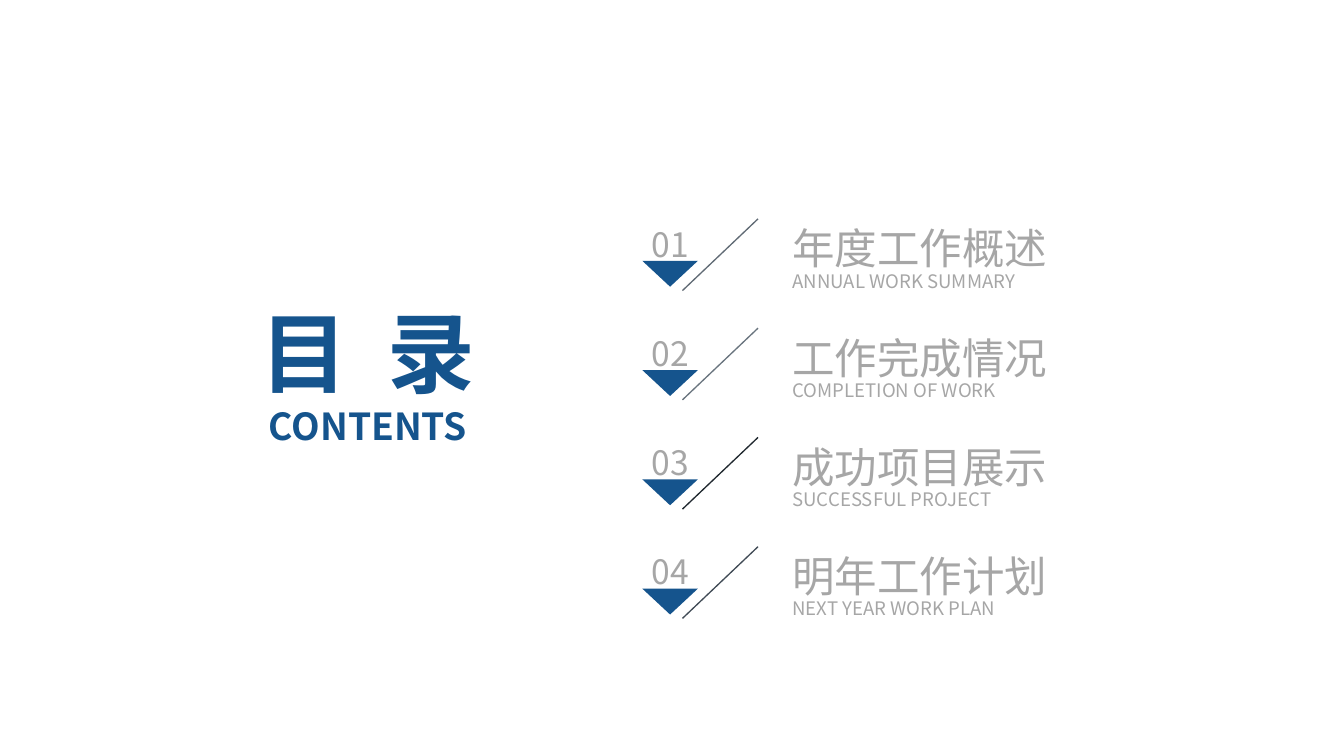
from pptx import Presentation
from pptx.dml.color import RGBColor
from pptx.enum.shapes import MSO_CONNECTOR, MSO_SHAPE
from pptx.enum.text import MSO_ANCHOR, MSO_AUTO_SIZE, PP_ALIGN
from pptx.oxml.ns import qn
from pptx.util import Inches, Pt
from lxml import etree

STRAIGHT = MSO_CONNECTOR.STRAIGHT
INVERTED_TRIANGLE = MSO_SHAPE.FLOWCHART_MERGE
TOP, MIDDLE, BOTTOM = MSO_ANCHOR.TOP, MSO_ANCHOR.MIDDLE, MSO_ANCHOR.BOTTOM
NO_AUTOFIT = MSO_AUTO_SIZE.NONE
LEFT, CENTER = PP_ALIGN.LEFT, PP_ALIGN.CENTER

BLUE = RGBColor(0x15, 0x54, 0x8D)
GRAY = RGBColor(0xA6, 0xA6, 0xA6)
FONT = "Noto Sans CJK SC"
LINE_SPACING = 0.83
TITLE_ONLY = 5

ENTRIES = [
    ("年度工作概述", "ANNUAL WORK SUMMARY", RGBColor(0x60, 0x6A, 0x74)),
    ("工作完成情况", "COMPLETION OF WORK", RGBColor(0x69, 0x74, 0x7E)),
    ("成功项目展示", "SUCCESSFUL PROJECT", RGBColor(0x20, 0x28, 0x2F)),
    ("明年工作计划", "NEXT YEAR WORK PLAN", RGBColor(0x41, 0x4B, 0x56)),
]


def write_text(shape, lines, color, anchor, alignment=LEFT, bold=False):
    """Fill a shape with (text, size) lines in one common format."""
    frame = shape.text_frame
    frame_format = {
        "word_wrap": True, "auto_size": NO_AUTOFIT, "vertical_anchor": anchor,
        "margin_left": 0, "margin_right": 0, "margin_top": 0, "margin_bottom": 0,
    }
    for name, value in frame_format.items():
        setattr(frame, name, value)
    frame.text = "\n".join(text for text, size in lines)
    paragraph_format = {
        "alignment": alignment, "line_spacing": LINE_SPACING,
        "space_before": Pt(0), "space_after": Pt(0),
    }
    for paragraph, (text, size) in zip(frame.paragraphs, lines):
        for name, value in paragraph_format.items():
            setattr(paragraph, name, value)
        run = paragraph.runs[0]
        for name, value in {"name": FONT, "size": Pt(size), "bold": bold}.items():
            setattr(run.font, name, value)
        run.font.color.rgb = color
        east_asian = etree.SubElement(run.font._element, qn("a:ea"))
        east_asian.set("typeface", FONT)


def add_heading(slide, left, top, width):
    """Place the slide title with its English subtitle below."""
    title = slide.shapes.title
    box = {"left": left, "top": top, "width": width, "height": Inches(1.11)}
    for name, value in box.items():
        setattr(title, name, value)
    write_text(title, [("目  录", 66)], BLUE, MIDDLE, CENTER, True)
    subtitle = slide.shapes.add_textbox(left, top + Inches(1.08), width, Inches(0.47))
    write_text(subtitle, [("CONTENTS", 28)], BLUE, TOP, CENTER, True)


def add_marker(slide, left, top, number, line_color):
    """Group a number, its blue triangle and the slanted line."""
    shapes = slide.shapes.add_group_shape().shapes
    slash = shapes.add_connector(
        STRAIGHT, left + Inches(1.23), top, left + Inches(0.44), top + Inches(0.75))
    slash.line.color.rgb = line_color
    slash.line.width = Pt(1)
    etree.SubElement(slash._element.spPr, qn("a:effectLst"))

    triangle = shapes.add_shape(
        INVERTED_TRIANGLE, left + Inches(0.02), top + Inches(0.44),
        Inches(0.58), Inches(0.27))
    triangle.shadow.inherit = False
    triangle.fill.solid()
    triangle.fill.fore_color.rgb = BLUE
    triangle.line.fill.background()

    label = shapes.add_textbox(left, top + Inches(0.04), Inches(0.62), Inches(0.43))
    write_text(label, [(f"{number:02d}", 25.3)], GRAY, BOTTOM, CENTER)


def add_entries(slide, left, top, pitch):
    """Stack the contents entries at an equal pitch."""
    for index, (chinese, english, line_color) in enumerate(ENTRIES):
        row_top = top + index * pitch
        add_marker(slide, left, row_top, index + 1, line_color)
        caption = slide.shapes.add_textbox(
            left + Inches(1.59), row_top + Inches(0.06), Inches(3.35), Inches(0.77))
        write_text(caption, [(chinese, 32), (english, 14)], GRAY, MIDDLE)


def main():
    """Build the contents slide and save it."""
    presentation = Presentation()
    presentation.slide_width = Inches(14.06)
    presentation.slide_height = Inches(7.91)
    slide = presentation.slides.add_slide(presentation.slide_layouts[TITLE_ONLY])
    add_heading(slide, Inches(2.28), Inches(3.22), Inches(3.14))
    add_entries(slide, Inches(6.7), Inches(2.29), Inches(3.43) // 3)
    presentation.save("out.pptx")


if __name__ == "__main__":
    main()
